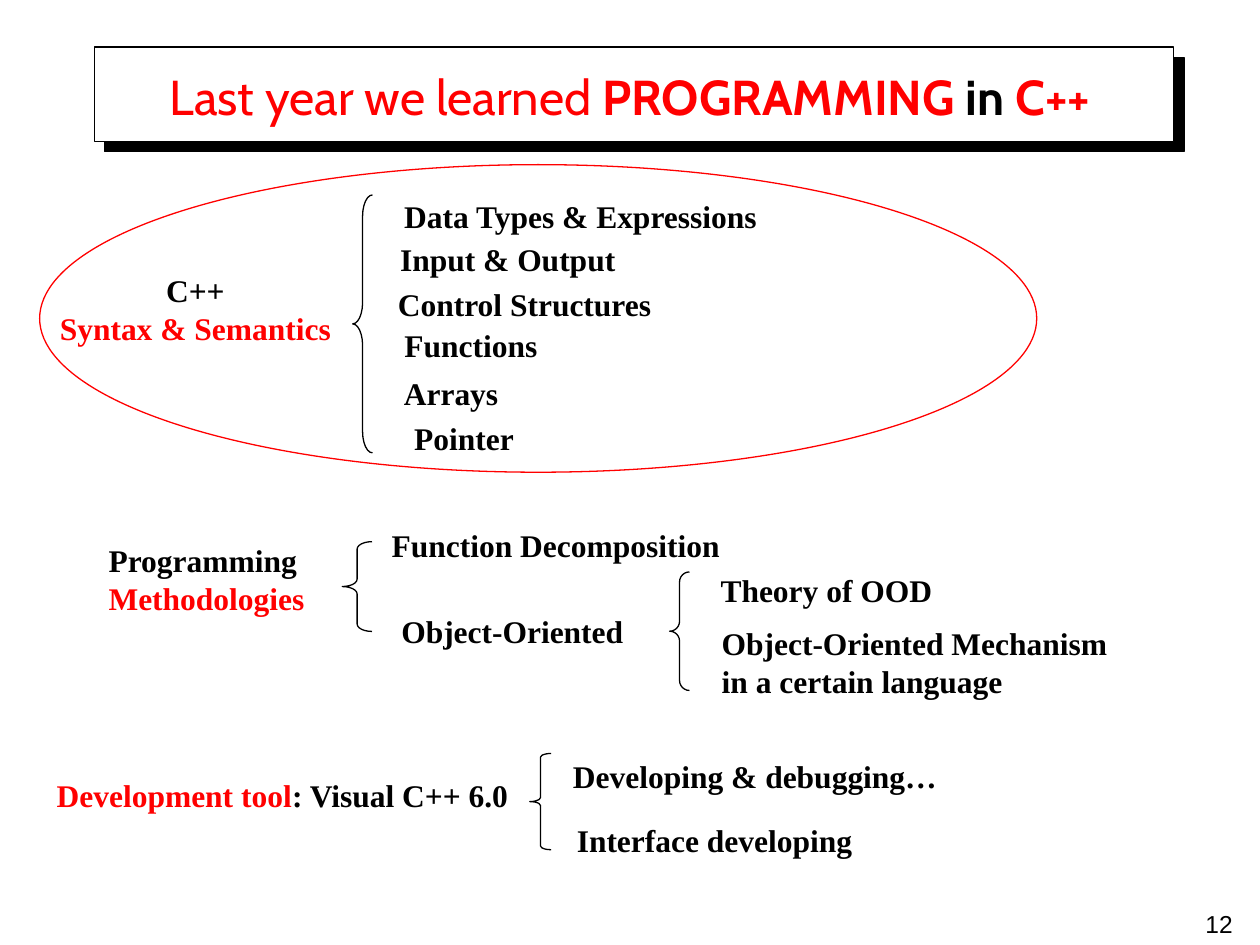
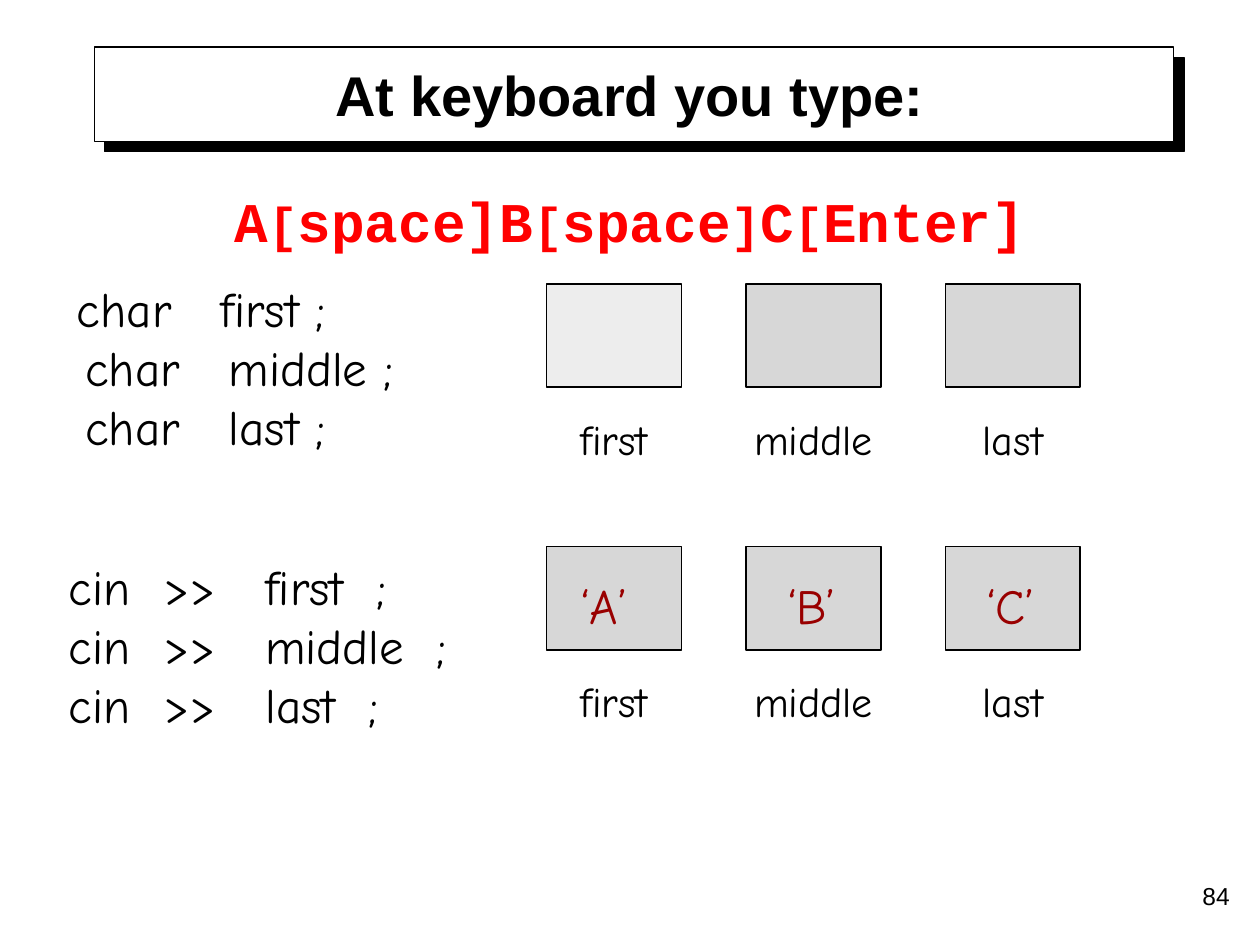
from lxml import etree
from pptx import Presentation
from pptx.dml.color import RGBColor
from pptx.enum.shapes import MSO_SHAPE
from pptx.enum.text import MSO_ANCHOR, PP_ALIGN
from pptx.oxml.ns import qn
from pptx.util import Cm, Pt

BLACK, WHITE, RED, GRAY, DARK_RED = "000000", "FFFFFF", "FF0000", "808080", "990000"
SERIF, SANS, HAND = "Times New Roman", "Arial", "Comic Neue"
LEFT, CENTER, RIGHT = PP_ALIGN.LEFT, PP_ALIGN.CENTER, PP_ALIGN.RIGHT


def color(value):
    return RGBColor.from_string(value)


def add_text(slide, paragraphs, left, top, width, height, size=18, font=SERIF, fill=BLACK,
             bold=False, align=CENTER, anchor=MSO_ANCHOR.MIDDLE, wrap=False):
    box = slide.shapes.add_textbox(Cm(left), Cm(top), Cm(width), Cm(height))
    frame = box.text_frame
    frame.word_wrap = wrap
    frame.vertical_anchor = anchor
    for index, segments in enumerate(paragraphs):
        paragraph = frame.paragraphs[0] if index == 0 else frame.add_paragraph()
        paragraph.alignment = align
        for text, changes in segments:
            run = paragraph.add_run()
            run.text = text
            run.font.name = changes.get("font", font)
            run.font.size = Pt(changes.get("size", size))
            run.font.bold = changes.get("bold", bold)
            run.font.color.rgb = color(changes.get("fill", fill))


presentation = Presentation()
presentation.slide_width = Cm(25.4)
presentation.slide_height = Cm(19.05)

course_title = [("Last year we learned ", {}), ("PROGRAMMING", {"bold": True}),
                (" in ", {"bold": True, "fill": BLACK}), ("C++", {"bold": True})]
keyboard_title = [("At keyboard you type:", {"bold": True})]
headers = [
    (course_title, 1.12, {"size": 28, "font": "Cabin", "fill": RED},
     "12", (19.18, 18.21, 5.92, 0.84)),
    (keyboard_title, 1.08, {"size": 32, "font": SANS}, "84", (19.76, 17.63, 5.28, 1.27)),
]
for title, title_top, title_format, number, number_place in headers:
    slide = presentation.slides.add_slide(presentation.slide_layouts[6])
    band = slide.shapes.add_shape(MSO_SHAPE.RECTANGLE, Cm(1.9), Cm(0.95), Cm(21.76), Cm(1.9))
    band.fill.solid()
    band.fill.fore_color.rgb = color(WHITE)
    band.line.color.rgb = color(BLACK)
    band.line.width = Pt(0.75)
    band.shadow.inherit = False
    effects = band._element.spPr.find(qn("a:effectLst"))
    shadow = etree.SubElement(effects, qn("a:outerShdw"), dist=str(Pt(8.5)), dir="2700000",
                              algn="ctr", rotWithShape="0")
    etree.SubElement(shadow, qn("a:srgbClr"), val=BLACK)
    add_text(slide, [title], 1.9, title_top, 21.6, 1.63, wrap=True, **title_format)
    add_text(slide, [[(number, {})]], *number_place, size=14, font=SANS, align=RIGHT,
             anchor=MSO_ANCHOR.TOP, wrap=True)

course_slide, keyboard_slide = presentation.slides

red = {"fill": RED}
topics = [
    ([[("C++", {})], [("Syntax & Semantics", red)]], (0.89, 5.33, 6.1, 1.8), CENTER),
    ([[("Data Types & Expressions", {})]], (7.7, 3.94, 8.01, 0.81), CENTER),
    ([[("Input & Output", {})]], (7.57, 4.72, 5.33, 0.99), CENTER),
    ([[("Control Structures", {})]], (7.6, 5.74, 5.95, 0.79), CENTER),
    ([[("Functions", {})]], (7.7, 6.58, 3.59, 0.76), CENTER),
    ([[("Arrays", {})]], (7.7, 7.52, 2.79, 0.79), CENTER),
    ([[("Pointer", {})]], (8.1, 8.33, 7.8, 0.99), LEFT),
    ([[("Programming", {})], [("Methodologies", red)]], (1.94, 10.62, 4.5, 2.11), LEFT),
    ([[("Function Decomposition", {})]], (7.4, 10.64, 7.61, 0.69), CENTER),
    ([[("Object-Oriented", {})]], (7.7, 12.12, 5.26, 1.19), CENTER),
    ([[("Theory of OOD", {})]], (14.1, 11.28, 5.12, 1.24), CENTER),
    ([[("Object-Oriented Mechanism", {})], [("in a certain language", {})]],
     (14.3, 12.37, 8.9, 1.96), LEFT),
    ([[("Development tool", red), (": Visual C++ 6.0", {})]], (0.7, 15.32, 9.99, 1.4), CENTER),
    ([[("Developing & debugging…", {})]], (11.11, 14.94, 8.22, 1.4), CENTER),
    ([[("Interface developing", {})]], (11, 16.33, 6.81, 1.19), CENTER),
]
for paragraphs, place, align in topics:
    add_text(course_slide, paragraphs, *place, bold=True, align=align)

outlines = [
    (MSO_SHAPE.LEFT_BRACE, (7.11, 3.93, 0.4, 5.2), 1.07, BLACK),
    (MSO_SHAPE.LEFT_BRACE, (6.9, 10.92, 0.6, 1.81), 0.25, BLACK),
    (MSO_SHAPE.LEFT_BRACE, (13.5, 11.53, 0.4, 2.39), 0.5, BLACK),
    (MSO_SHAPE.LEFT_BRACE, (10.68, 15.19, 0.43, 1.94), 0.18, BLACK),
    (MSO_SHAPE.OVAL, (0.8, 3.32, 20.1, 6.2), None, RED),
]
for kind, place, curve, line_color in outlines:
    outline = course_slide.shapes.add_shape(kind, *[Cm(length) for length in place])
    outline.shadow.inherit = False
    outline.fill.background()
    outline.line.color.rgb = color(line_color)
    outline.line.width = Pt(0.75)
    if curve:
        outline.adjustments[0] = curve

small = {"size": 28}
typed_keys = [("A", {}), ("[", small), ("space]B", {}), ("[", small), ("space", {}),
              ("]", small), ("C", {}), ("[", small), ("Enter]", {})]
add_text(keyboard_slide, [typed_keys], 1.9, 3.74, 21.6, 1.4, size=32, font="Courier New",
         fill=RED, bold=True, wrap=True)

declarations = [[("  ", {"font": SERIF}), ("char   first ;", {})],
                [("  char   middle ;", {})], [("  char   last ;", {})]]
inputs = [[(f" cin  >>   {name}  ;", {})] for name in ("first", "middle", "last")]
for code, top in ((declarations, 5.5), (inputs, 11.1)):
    add_text(keyboard_slide, code, 0.81, top, 10, 3.8, size=28, font=HAND, align=LEFT,
             anchor=MSO_ANCHOR.TOP, wrap=True)

variables = ["first", "middle", "last"]
for top, opacities in ((5.73, (14, 31, 31)), (11.02, (31, 31, 31))):
    for column, (variable, opacity) in enumerate(zip(variables, opacities)):
        left = 11.02 + 4.02 * column
        cell = keyboard_slide.shapes.add_shape(MSO_SHAPE.RECTANGLE, Cm(left), Cm(top),
                                               Cm(2.72), Cm(2.08))
        cell.shadow.inherit = False
        cell.fill.solid()
        cell.fill.fore_color.rgb = color(GRAY)
        fill_color = cell._element.spPr.find(qn("a:solidFill")).find(qn("a:srgbClr"))
        etree.SubElement(fill_color, qn("a:alpha"), val=str(opacity * 1000))
        cell.line.color.rgb = color(BLACK)
        cell.line.width = Pt(1)
        add_text(keyboard_slide, [[(variable, {})]], left - 0.4, top + 2.48, 3.52, 1.27, size=24,
                 font=HAND, anchor=MSO_ANCHOR.TOP)

for value, left in (("‘A’", 11.46), ("‘B’", 15.62), ("‘C’", 19.63)):
    add_text(keyboard_slide, [[(value, {})]], left, 11.48, 1.5, 1.45, size=28, font=HAND,
             fill=DARK_RED, align=LEFT, anchor=MSO_ANCHOR.TOP)

presentation.save("out.pptx")
